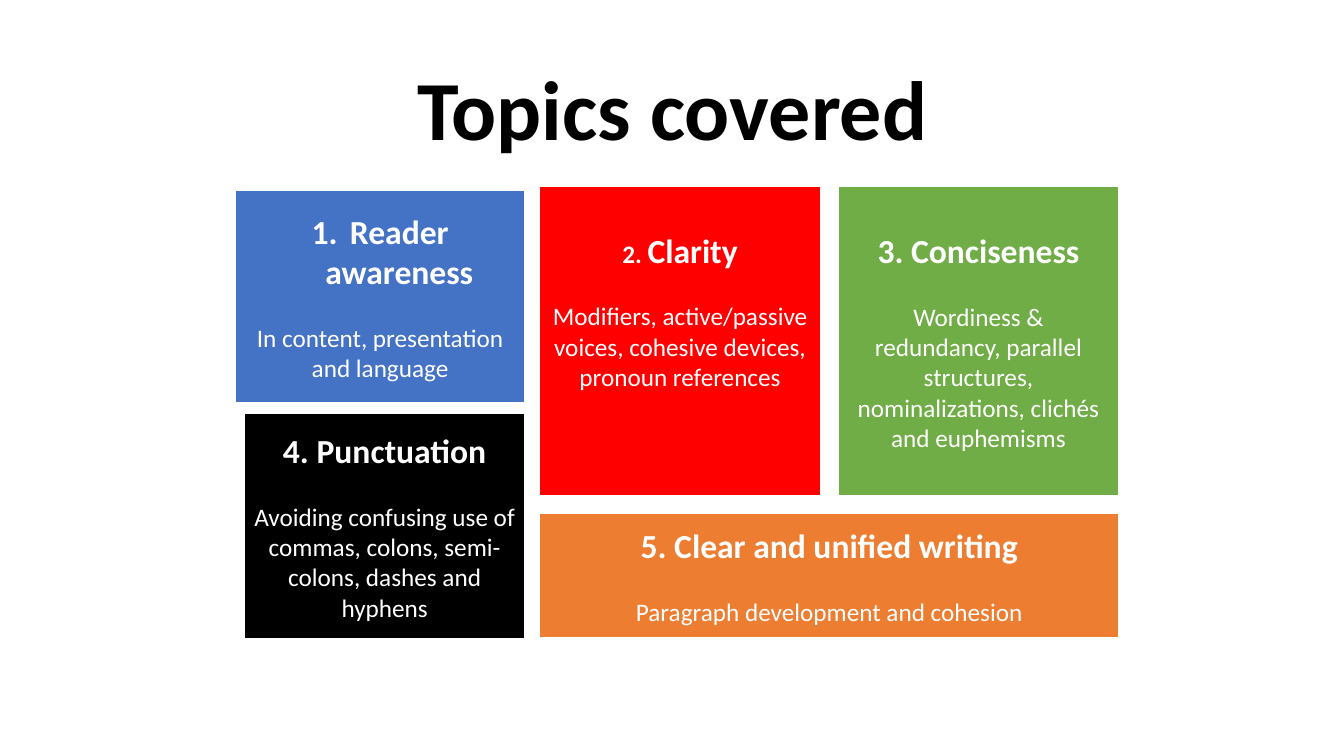
from lxml.etree import SubElement
from pptx import Presentation
from pptx.dml.color import RGBColor
from pptx.enum.shapes import MSO_SHAPE
from pptx.enum.text import MSO_ANCHOR, PP_ALIGN
from pptx.oxml.ns import qn
from pptx.util import Inches, Pt

WHITE = RGBColor(0xFF, 0xFF, 0xFF)
BLACK = RGBColor(0x00, 0x00, 0x00)
BLUE = RGBColor(0x44, 0x72, 0xC4)
RED = RGBColor(0xFF, 0x00, 0x00)
GREEN = RGBColor(0x70, 0xAD, 0x47)
ORANGE = RGBColor(0xED, 0x7D, 0x31)

TITLE = "Topics covered"
TOPICS = [
    {"head": [("Reader awareness", 24)], "fill": BLUE, "auto": True,
     "body": "In content, presentation and language"},
    {"head": [("2. ", 18), ("Clarity", 24)], "fill": RED, "foot": 0.66,
     "body": "Modifiers, active/passive voices, cohesive devices, pronoun references"},
    {"head": [("3. Conciseness", 24)], "fill": GREEN,
     "body": "Wordiness & redundancy, parallel structures, nominalizations, clichés and euphemisms"},
    {"head": [("4. Punctuation", 24)], "fill": BLACK,
     "body": "Avoiding confusing use of commas, colons, semi-colons, dashes and hyphens"},
    {"head": [("5. Clear and unified writing", 24)], "fill": ORANGE,
     "body": "Paragraph development and cohesion"},
]

WIDE, GAP = 2.79, 0.17
LEFT, MID, TOP, TALL = 2.42, 5.35, 1.85, 3.07
LAST = MID + WIDE + GAP
SPOTS = [
    (2.33, 1.88, 2.88, 2.12),
    (MID, TOP, WIDE, TALL),
    (LAST, TOP, WIDE, TALL),
    (LEFT, 4.1, WIDE, 2.24),
    (MID, TOP + TALL + GAP, LAST + WIDE - MID, 1.24),
]
FRAME = {"word_wrap": True, "vertical_anchor": MSO_ANCHOR.MIDDLE}
INDENT = Inches(0.38)


def put(item, values):
    for name, value in values.items():
        setattr(item, name, value)


def write(para, text, size, bold, color):
    run = para.add_run()
    run.text = text
    put(run.font, {"name": "Calibri", "size": Pt(size), "bold": bold})
    run.font.color.rgb = color


def number(para):
    props = para._p.get_or_add_pPr()
    props.set("marL", str(INDENT))
    props.set("indent", str(-INDENT))
    SubElement(props, qn("a:buFont"), typeface="+mj-lt")
    SubElement(props, qn("a:buAutoNum"), type="arabicPeriod")


def draw(slide, topic, spot):
    box = slide.shapes.add_shape(MSO_SHAPE.RECTANGLE, *map(Inches, spot))
    box.shadow.inherit = False
    box.fill.solid()
    box.fill.fore_color.rgb = topic["fill"]
    box.line.color.rgb = WHITE
    box.line.width = Pt(1.5)
    frame = box.text_frame
    put(frame, {**FRAME, "margin_bottom": Inches(topic.get("foot", 0.05))})
    head, body = frame.paragraphs[0], frame.add_paragraph()
    put(head, {"alignment": PP_ALIGN.CENTER})
    put(body, {"alignment": PP_ALIGN.CENTER, "space_before": Pt(22)})
    if topic.get("auto"):
        number(head)
    for text, size in topic["head"]:
        write(head, text, size, True, WHITE)
    write(body, topic["body"], 18, False, WHITE)


def main():
    deck = Presentation()
    put(deck, {"slide_width": Inches(13.33), "slide_height": Inches(7.5)})
    slide = deck.slides.add_slide(deck.slide_layouts[6])
    title = slide.shapes.add_textbox(*map(Inches, (0.92, 0.4, 11.5, 1.45)))
    put(title.text_frame, FRAME)
    para = title.text_frame.paragraphs[0]
    put(para, {"alignment": PP_ALIGN.CENTER, "line_spacing": 0.9})
    write(para, TITLE, 60, True, BLACK)
    for topic, spot in zip(TOPICS, SPOTS):
        draw(slide, topic, spot)
    deck.save("out.pptx")


if __name__ == "__main__":
    main()
